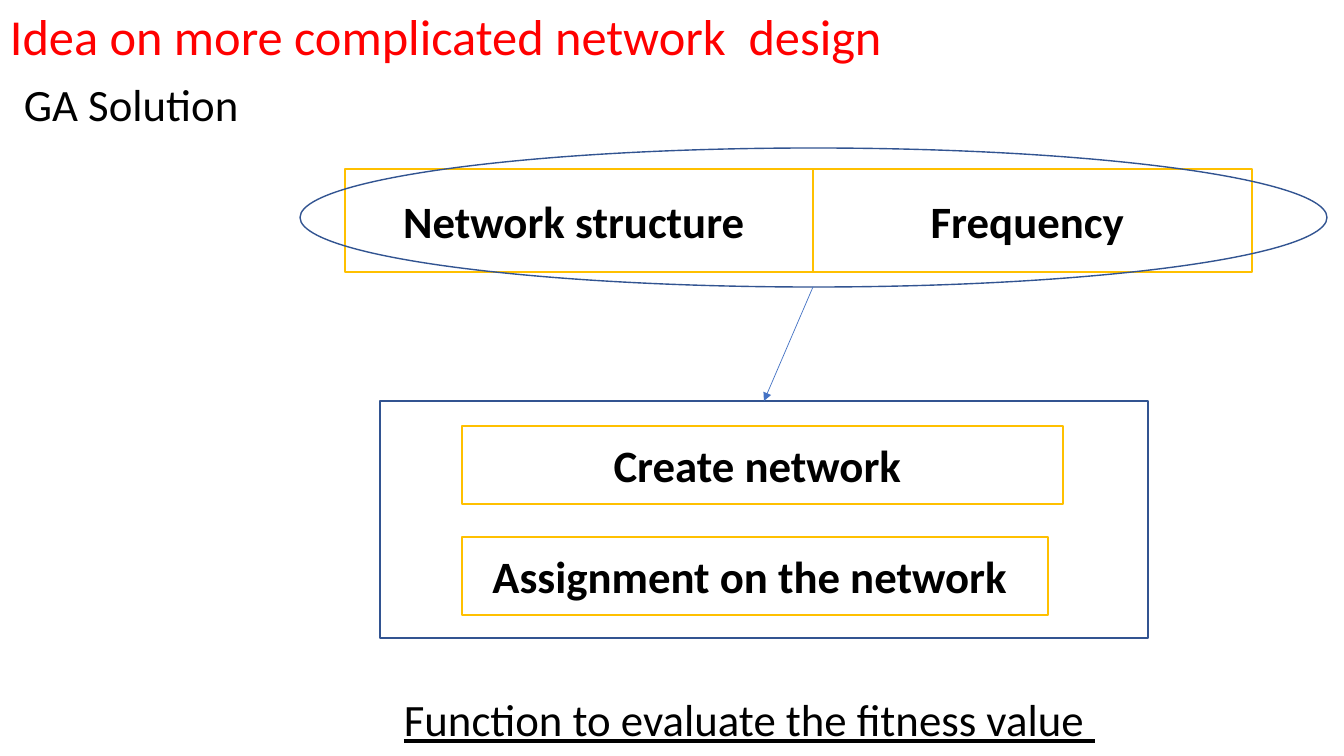
import pptx
import pptx.util
import pptx.dml.color
import pptx.enum.shapes
import pptx.enum.text
import pptx.oxml
import pptx.oxml.ns
from dataclasses import dataclass

EMU_PER_PX = 914400 / 100.8
SHAPES = pptx.enum.shapes.MSO_SHAPE


@dataclass(frozen=True)
class Theme:
    font: str = "Calibri"
    title_size: int = 36
    body_size: int = 32
    title: str = "FF0000"
    text: str = "000000"
    box_fill: str = "FFFFFF"
    box_line: str = "FFC000"
    outline: str = "325491"
    arrow: str = "4472C4"


THEME = Theme()


def px(*lengths):
    return [pptx.util.Emu(round(length * EMU_PER_PX)) for length in lengths]


def rgb(code):
    return pptx.dml.color.RGBColor.from_string(code)


def write(frame, text, size=THEME.body_size, color=THEME.text, bold=False, underline=False):
    frame.word_wrap = True
    frame.text = text
    font = frame.paragraphs[0].runs[0].font
    font.name, font.size, font.color.rgb = THEME.font, pptx.util.Pt(size), rgb(color)
    font.bold, font.underline = bold, underline


def add_label(slide, text, area, **style):
    label = slide.shapes.add_textbox(*px(*area))
    write(label.text_frame, text, **style)
    label.text_frame.auto_size = pptx.enum.text.MSO_AUTO_SIZE.SHAPE_TO_FIT_TEXT


def add_outline(slide, kind, area, color=THEME.outline):
    outline = slide.shapes.add_shape(kind, *px(*area))
    outline.shadow.inherit = False
    outline.fill.background()
    outline.line.color.rgb = rgb(color)
    outline.line.width = pptx.util.Pt(1)
    return outline


def add_step(slide, text, area):
    step = add_outline(slide, SHAPES.RECTANGLE, area, THEME.box_line)
    step.fill.solid()
    step.fill.fore_color.rgb = rgb(THEME.box_fill)
    write(step.text_frame, text, bold=True)
    step.text_frame.vertical_anchor = pptx.enum.text.MSO_ANCHOR.MIDDLE
    step.text_frame.paragraphs[0].alignment = pptx.enum.text.PP_ALIGN.CENTER


def add_arrow(slide, start, end):
    straight = pptx.enum.shapes.MSO_CONNECTOR.STRAIGHT
    arrow = slide.shapes.add_connector(straight, *px(*start, *end))
    arrow.line.color.rgb = rgb(THEME.arrow)
    arrow.line.width = pptx.util.Pt(0.5)
    properties = arrow._element.spPr
    line = properties.find(pptx.oxml.ns.qn("a:ln"))
    head = pptx.oxml.parse_xml(f'<a:tailEnd {pptx.oxml.ns.nsdecls("a")} type="triangle"/>')
    line.append(head)
    properties.append(pptx.oxml.parse_xml(f'<a:effectLst {pptx.oxml.ns.nsdecls("a")}/>'))


def main():
    deck = pptx.Presentation()
    deck.slide_width, deck.slide_height = px(1344, 756)
    slide = deck.slides.add_slide(deck.slide_layouts[6])

    # Headings
    add_label(slide, "Idea on more complicated network  design ", (0, 0, 1210, 72),
              size=THEME.title_size, color=THEME.title)
    add_label(slide, "GA Solution", (14, 72, 298, 65))

    # The two halves of a solution, circled
    for text, left, width in (("Network structure ", 345, 468), ("Frequency ", 813, 439)):
        add_step(slide, text, (left, 169, width, 103))
    add_outline(slide, SHAPES.OVAL, (300, 148, 1027, 139))

    # Evaluation steps in their frame
    steps = (("Create network ", 601), ("Assignment on the network ", 586))
    for row, (text, width) in enumerate(steps):
        add_step(slide, text, (462, 426 + 111 * row, width, 78))
    add_outline(slide, SHAPES.RECTANGLE, (380, 401, 768, 237))

    # From the bottom of the solution to the top of the evaluation
    add_arrow(slide, (813, 287), (764, 401))

    # Caption
    add_label(slide, "Function to evaluate the fitness value ", (394, 687, 722, 65), underline=True)

    deck.save("out.pptx")


main()
